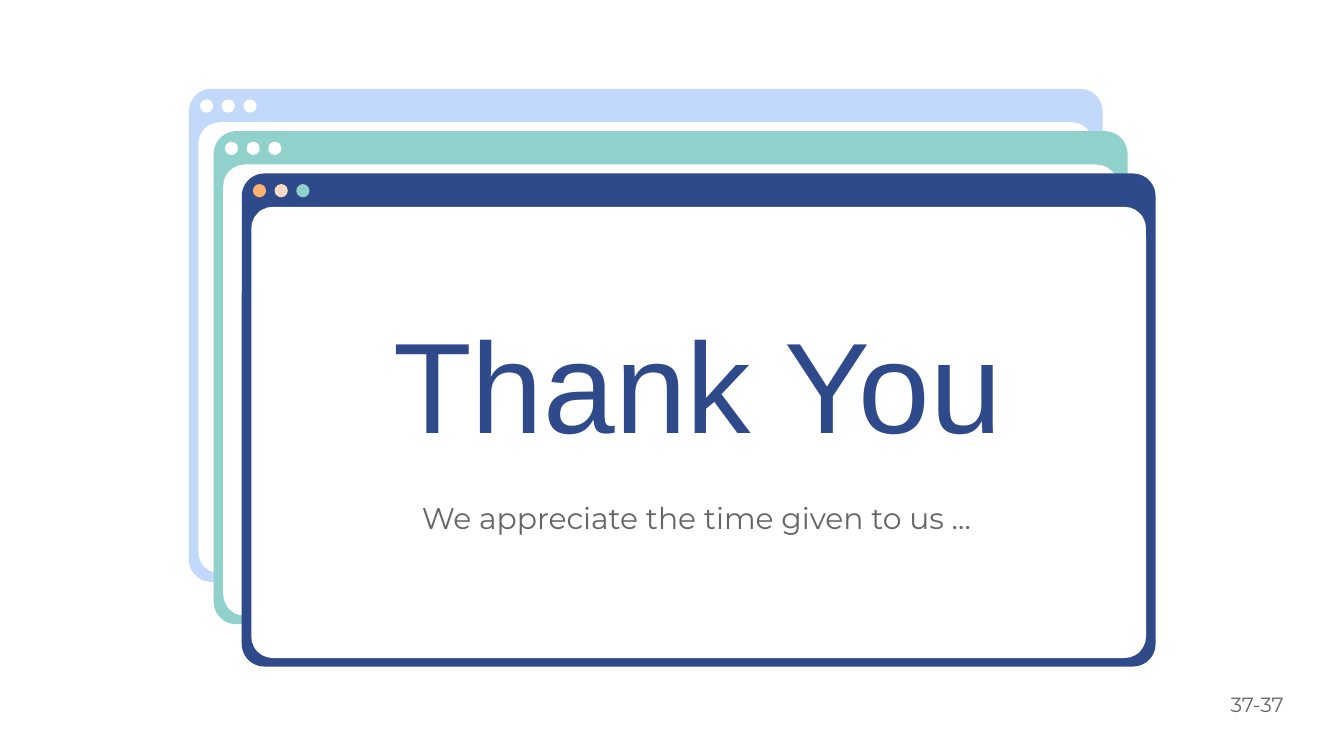
import pptx
import pptx.util
import pptx.dml.color
import pptx.enum.shapes
import pptx.enum.text
from pptx.util import Cm

COLOURS = {
    "white": "FFFFFF", "sky": "C3D9FB", "mint": "90D1CB", "navy": "2F4A8A",
    "orange": "FFB172", "peach": "F8DBC4", "grey": "666666",
}

# Content: windows from back to front, then texts (positions in cm)
WINDOWS = [
    {"left": 3.57, "colour": "sky", "dots": ["white"] * 3},
    {"left": 4.04, "colour": "mint", "dots": ["white"] * 3},
    {"left": 4.57, "colour": "navy", "dots": ["orange", "peach", "mint"]},
]
TEXTS = [
    {"text": "Thank You", "box": (4.55, 5.82, 17.27, 3.12), "anchor": "BOTTOM",
     "font": {"name": "Arial", "size": 69}, "colour": "navy"},
    {"text": "We appreciate the time given to us …", "box": (5.92, 9.2, 14.5, 1.07),
     "anchor": "TOP", "font": {"name": "Montserrat", "size": 16}, "colour": "grey"},
    {"text": "37-37", "box": (22.35, 12.7, 2.82, 1.24), "anchor": "MIDDLE",
     "font": {"name": "Montserrat", "size": 11}, "colour": "grey"},
]

# Window geometry in cm
FIRST_TOP, WINDOW_STEP = 1.68, 0.8
FRAME_WIDTH, FRAME_HEIGHT = 17.27, 9.32
BORDER, TITLE_BAR = 0.18, 0.63
DOT_SIZE, DOT_STEP, DOT_LEFT, DOT_TOP = 0.25, 0.41, 0.21, 0.2


def rgb(name):
    return pptx.dml.color.RGBColor.from_string(COLOURS[name])


def add_filled(slide, kind, box, colour, rounding=None):
    shape = slide.shapes.add_shape(
        getattr(pptx.enum.shapes.MSO_SHAPE, kind), *map(Cm, box))
    shape.shadow.inherit = False
    shape.fill.solid()
    shape.fill.fore_color.rgb = rgb(colour)
    shape.line.fill.background()
    if rounding is not None:
        shape.adjustments[0] = rounding


def add_window(slide, left, top, colour, dots):
    add_filled(slide, "ROUNDED_RECTANGLE", (left, top, FRAME_WIDTH, FRAME_HEIGHT),
               colour, 0.046)
    pane = (left + BORDER, top + TITLE_BAR,
            FRAME_WIDTH - 2 * BORDER, FRAME_HEIGHT - TITLE_BAR - BORDER + 0.02)
    add_filled(slide, "ROUNDED_RECTANGLE", pane, "white", 0.048)
    for index, dot in enumerate(dots):
        add_filled(slide, "OVAL", (left + DOT_LEFT + index * DOT_STEP, top + DOT_TOP,
                                   DOT_SIZE, DOT_SIZE), dot)


def add_text(slide, text, box, anchor, font, colour):
    frame = slide.shapes.add_textbox(*map(Cm, box)).text_frame
    settings = {"word_wrap": True,
                "vertical_anchor": getattr(pptx.enum.text.MSO_ANCHOR, anchor)}
    settings.update({f"margin_{side}": Cm(0.25)
                     for side in ("left", "right", "top", "bottom")})
    for name, value in settings.items():
        setattr(frame, name, value)
    paragraph = frame.paragraphs[0]
    paragraph.alignment = pptx.enum.text.PP_ALIGN.CENTER
    run = paragraph.add_run()
    run.text = text
    for name, value in {**font, "size": pptx.util.Pt(font["size"])}.items():
        setattr(run.font, name, value)
    run.font.color.rgb = rgb(colour)


def main():
    presentation = pptx.Presentation()
    presentation.slide_width, presentation.slide_height = Cm(25.4), Cm(14.29)
    slide = presentation.slides.add_slide(presentation.slide_layouts[6])

    # Cascading browser windows
    for index, window in enumerate(WINDOWS):
        add_window(slide, top=FIRST_TOP + index * WINDOW_STEP, **window)

    # Title, subtitle and page number
    for text in TEXTS:
        add_text(slide, **text)

    presentation.save("out.pptx")


if __name__ == "__main__":
    main()
